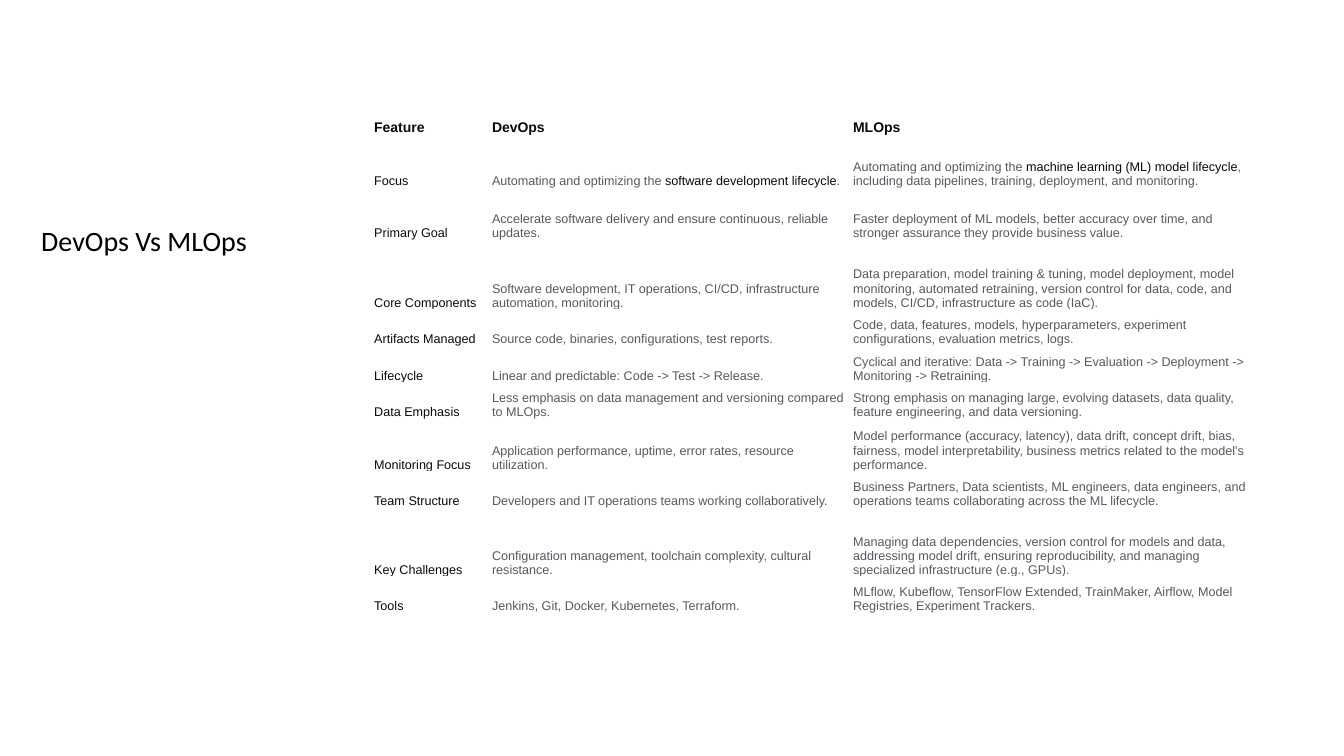
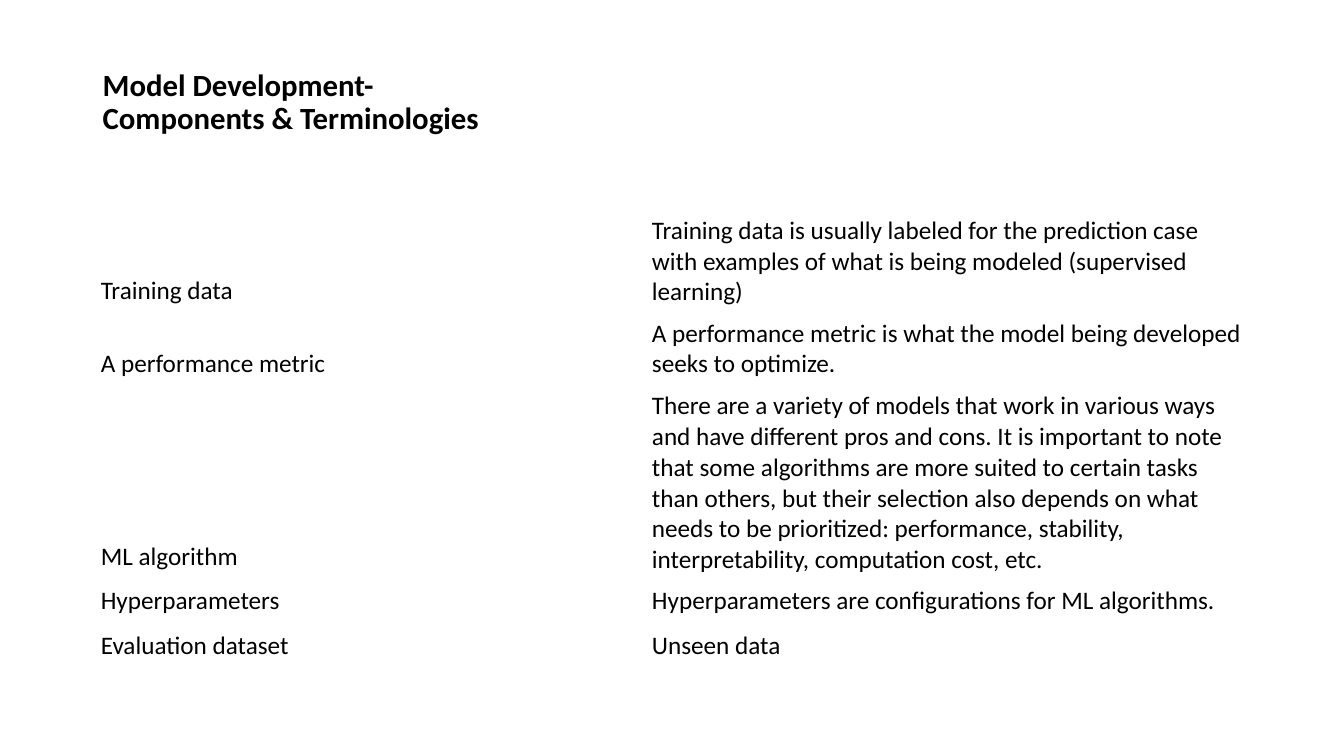
from pptx import Presentation
from pptx.dml.color import RGBColor
from pptx.enum.text import MSO_ANCHOR
from pptx.util import Cm, Pt

TOP, MIDDLE, BOTTOM = MSO_ANCHOR.TOP, MSO_ANCHOR.MIDDLE, MSO_ANCHOR.BOTTOM

# Shared look
BLACK = "000000"
INK = "0A0A0A"
GREY = "56595E"
TITLE_FONT = "Calibri"
COMPARISON_FONT = "Arial"
CELL_SIDE_MARGIN = 0.03
BLANK_LAYOUT = 6

# Text between bars is emphasised
COMPARISON = [
    ("Feature", "DevOps", "MLOps"),
    ("Focus",
     "Automating and optimizing the |software development lifecycle|.",
     "Automating and optimizing the |machine learning (ML) model lifecycle|, "
     "including data pipelines, training, deployment, and monitoring."),
    ("Primary Goal",
     "Accelerate software delivery and ensure continuous, reliable updates.",
     "Faster deployment of ML models, better accuracy over time, and stronger "
     "assurance they provide business value."),
    ("Core Components",
     "Software development, IT operations, CI/CD, infrastructure automation, monitoring.",
     "Data preparation, model training & tuning, model deployment, model monitoring, "
     "automated retraining, version control for data, code, and models, CI/CD, "
     "infrastructure as code (IaC)."),
    ("Artifacts Managed",
     "Source code, binaries, configurations, test reports.",
     "Code, data, features, models, hyperparameters, experiment configurations, "
     "evaluation metrics, logs."),
    ("Lifecycle",
     "Linear and predictable: Code -> Test -> Release.",
     "Cyclical and iterative: Data -> Training -> Evaluation -> Deployment -> "
     "Monitoring -> Retraining."),
    ("Data Emphasis",
     "Less emphasis on data management and versioning compared to MLOps.",
     "Strong emphasis on managing large, evolving datasets, data quality, "
     "feature engineering, and data versioning."),
    ("Monitoring Focus",
     "Application performance, uptime, error rates, resource utilization.",
     "Model performance (accuracy, latency), data drift, concept drift, bias, fairness, "
     "model interpretability, business metrics related to the model's performance."),
    ("Team Structure",
     "Developers and IT operations teams working collaboratively.",
     "Business Partners, Data scientists, ML engineers, data engineers, and operations "
     "teams collaborating across the ML lifecycle."),
    ("Key Challenges",
     "Configuration management, toolchain complexity, cultural resistance.",
     "Managing data dependencies, version control for models and data, addressing model "
     "drift, ensuring reproducibility, and managing specialized infrastructure (e.g., GPUs)."),
    ("Tools",
     "Jenkins, Git, Docker, Kubernetes, Terraform.",
     "MLflow, Kubeflow, TensorFlow Extended, TrainMaker, Airflow, Model Registries, "
     "Experiment Trackers."),
]

TERMS = [
    ("Training data",
     "Training data is usually labeled for the prediction case with examples of what is "
     "being modeled (supervised learning)"),
    ("A performance metric",
     "A performance metric is what the model being developed seeks to optimize."),
    ("ML algorithm",
     "There are a variety of models that work in various ways and have different pros and "
     "cons. It is important to note that some algorithms are more suited to certain tasks "
     "than others, but their selection also depends on what needs to be prioritized: "
     "performance, stability, interpretability, computation cost, etc."),
    ("Hyperparameters", "Hyperparameters are configurations for ML algorithms."),
    ("Evaluation dataset", "Unseen data"),
]


def color(hex_string):
    return RGBColor.from_string(hex_string)


def format_run(run, font, size, hex_string, bold=False):
    run.font.name = font
    run.font.size = Pt(size)
    run.font.bold = bold
    run.font.color.rgb = color(hex_string)


def add_title(slide, text, box, size, anchor, bold=False):
    shape = slide.shapes.add_textbox(*(Cm(length) for length in box))
    frame = shape.text_frame
    frame.word_wrap = True
    frame.vertical_anchor = anchor
    paragraph = frame.paragraphs[0]
    paragraph.line_spacing = 0.9
    for index, line in enumerate(text.splitlines()):
        if index:
            paragraph.add_line_break()
        run = paragraph.add_run()
        run.text = line
        format_run(run, TITLE_FONT, size, BLACK, bold)


def fill_cell(cell, text, top_margin, font, size, base, emphasis, bold):
    cell.fill.background()
    cell.vertical_anchor = BOTTOM
    cell.margin_left = cell.margin_right = Cm(CELL_SIDE_MARGIN)
    cell.margin_top, cell.margin_bottom = Cm(top_margin), Cm(0)
    paragraph = cell.text_frame.paragraphs[0]
    for index, part in enumerate(text.split("|")):
        run = paragraph.add_run()
        run.text = part
        format_run(run, font, size, emphasis if index % 2 else base, bold)


def add_plain_table(slide, rows, position, widths, heights, top_margin, style_for):
    """style_for(row, column) gives font, size, base colour, emphasis colour, bold."""
    left, top = position
    frame = slide.shapes.add_table(len(rows), len(widths), Cm(left), Cm(top),
                                   Cm(sum(widths)), Cm(sum(heights)))
    table = frame.table
    table.first_row = table.horz_banding = False
    for column, width in zip(table.columns, widths):
        column.width = Cm(width)
    for row, height in zip(table.rows, heights):
        row.height = Cm(height)
    for row_index, texts in enumerate(rows):
        for column_index, text in enumerate(texts):
            fill_cell(table.cell(row_index, column_index), text, top_margin,
                      *style_for(row_index, column_index))


def comparison_style(row, column):
    if row == 0:
        return COMPARISON_FONT, 10, INK, INK, True
    return COMPARISON_FONT, 9, GREY if column else INK, INK, False


def terms_style(row, column):
    return TITLE_FONT, 18, BLACK, BLACK, False


def add_comparison_slide(presentation):
    slide = presentation.slides.add_slide(presentation.slide_layouts[BLANK_LAYOUT])
    add_title(slide, "DevOps Vs MLOps", (0.79, 5.61, 6.27, 2.21), 20, TOP)
    heights = [0.58, 1.32, 1.32, 1.75, 0.92, 0.92, 0.92, 1.32, 0.92, 1.73, 0.92]
    add_plain_table(slide, COMPARISON, (9.4, 2.84), [2.97, 9.1, 10.08], heights,
                    0.03, comparison_style)


def add_terms_slide(presentation):
    slide = presentation.slides.add_slide(presentation.slide_layouts[BLANK_LAYOUT])
    add_title(slide, "Model Development-\nComponents & Terminologies",
              (2.34, 0.5, 29.2, 4.2), 22, MIDDLE, bold=True)
    add_plain_table(slide, TERMS, (2.51, 5.13), [13.89, 14.91],
                    [2.54, 1.83, 4.65, 1.12, 1.12], 0.3, terms_style)


def main():
    presentation = Presentation()
    presentation.slide_width, presentation.slide_height = Cm(33.87), Cm(19.05)
    add_comparison_slide(presentation)
    add_terms_slide(presentation)
    presentation.save("out.pptx")


if __name__ == "__main__":
    main()
